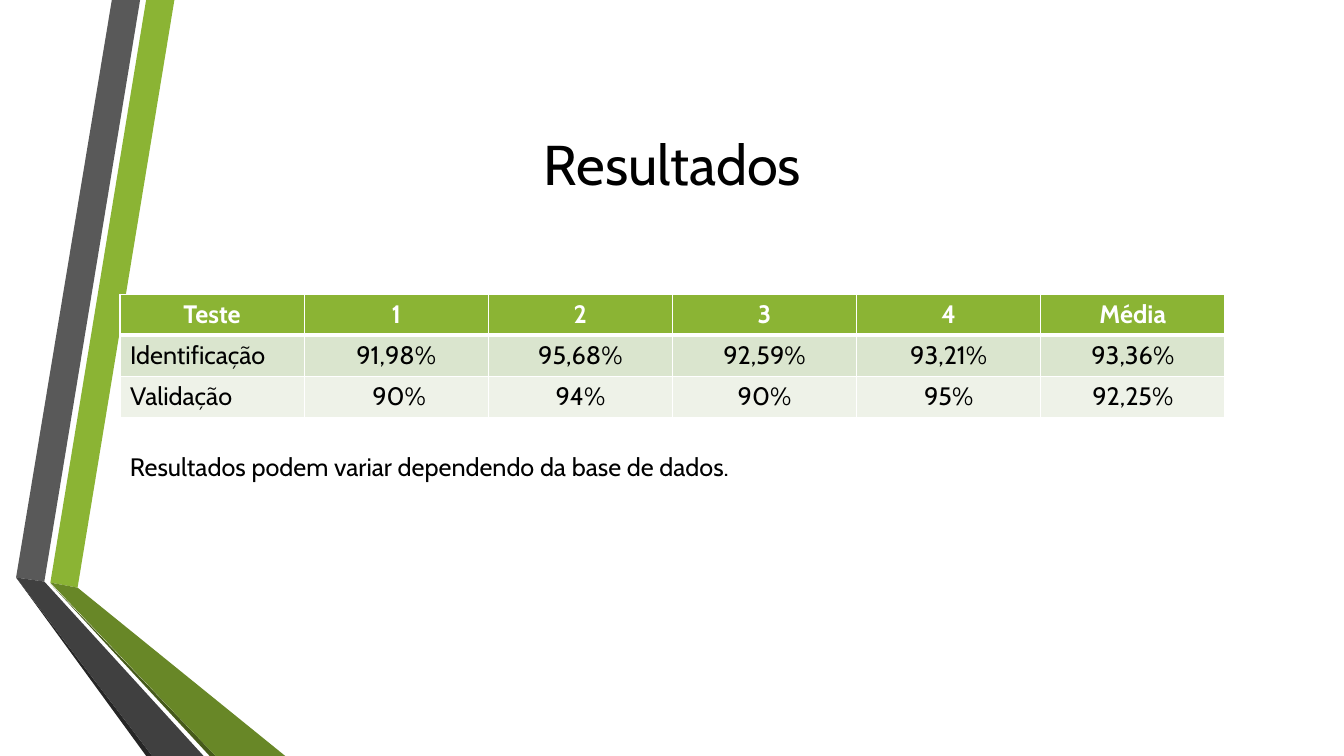
from dataclasses import dataclass

from lxml import etree
from pptx import Presentation
from pptx.dml.color import RGBColor
from pptx.enum import text
from pptx.oxml import ns
from pptx.util import Inches, Pt


@dataclass(frozen=True)
class Theme:
    font: str = "Cabin"
    title_size: int = 40
    body_size: int = 18
    ink: str = "000000"
    white: str = "FFFFFF"
    green: str = "8BB434"
    green_dark: str = "688727"
    green_edge: str = "465A1A"
    gray: str = "595959"
    gray_dark: str = "404040"
    gray_edge: str = "262626"
    band_odd: str = "DAE5CE"
    band_even: str = "EEF2E8"


theme = Theme()


def write(frame, words, size, color, align, bold=False):
    frame.text = words
    paragraph = frame.paragraphs[0]
    paragraph.alignment = align
    paragraph.font.name = theme.font
    paragraph.font.size = Pt(size)
    paragraph.font.bold = bold
    paragraph.font.color.rgb = RGBColor.from_string(color)


def add_border(cell, sides):
    """Draw white cell borders; they must precede the fill, in schema order."""
    properties = cell._tc.get_or_add_tcPr()
    for index, (side, width) in enumerate(sides.items()):
        line = etree.Element(ns.qn(f"a:ln{side}"), w=str(Pt(width)))
        fill = etree.SubElement(line, ns.qn("a:solidFill"))
        etree.SubElement(fill, ns.qn("a:srgbClr"), val=theme.white)
        properties.insert(index, line)


deck = Presentation()
deck.slide_width, deck.slide_height = Inches(13.33), Inches(7.5)
slide = deck.slides.add_slide(deck.slide_layouts[6])

# Folded ribbons on the left
ribbons = [
    (theme.green, [(0.5, 5.78), (0.77, 5.83), (1.73, 0), (1.45, 0)]),
    (theme.gray, [(1.39, 0), (1.11, 0), (0.16, 5.73), (0.44, 5.77)]),
    (theme.gray_edge, [(0.16, 5.73), (1.45, 7.5), (1.51, 7.5)]),
    (theme.green_edge, [(0.5, 5.79), (2.08, 7.5), (2.14, 7.5)]),
    (theme.green_dark, [(0.5, 5.78), (2.14, 7.5), (2.83, 7.5), (0.77, 5.83)]),
    (theme.gray_dark, [(2.02, 7.5), (0.44, 5.77), (0.16, 5.73), (1.51, 7.5)]),
]
for color, corners in ribbons:
    points = [(Inches(x), Inches(y)) for x, y in corners]
    outline = slide.shapes.build_freeform(*points[0])
    outline.add_line_segments(points[1:], close=True)
    ribbon = outline.convert_to_shape()
    ribbon.shadow.inherit = False
    ribbon.fill.solid()
    ribbon.fill.fore_color.rgb = RGBColor.from_string(color)
    ribbon.line.fill.background()

# Title
left, content_width = Inches(1.19), Inches(10.96)
title = slide.shapes.add_textbox(left, Inches(0.66), content_width, Inches(1.92)).text_frame
title.word_wrap = True
title.vertical_anchor = text.MSO_ANCHOR.MIDDLE
write(title, "Resultados", theme.title_size, theme.ink, text.PP_ALIGN.CENTER)

# Test results
results = [
    ["Teste", "1", "2", "3", "4", "Média"],
    ["Identificação", "91,98%", "95,68%", "92,59%", "93,21%", "93,36%"],
    ["Validação", " 90%", "94%", "90%", "95%", "92,25%"],
]
row_fills = [theme.green, theme.band_odd, theme.band_even]
table = slide.shapes.add_table(
    len(results), len(results[0]), left, Inches(2.92), content_width, Inches(1.22)
).table
for r, row in enumerate(results):
    header = r == 0
    for c, value in enumerate(row):
        cell = table.cell(r, c)
        cell.fill.solid()
        cell.fill.fore_color.rgb = RGBColor.from_string(row_fills[r])
        label = c == 0 and not header
        write(cell.text_frame, value, theme.body_size,
              theme.white if header else theme.ink,
              text.PP_ALIGN.LEFT if label else text.PP_ALIGN.CENTER, bold=header)
        add_border(cell, {"L": 1, "R": 1, "T": 3 if r == 1 else 1, "B": 3 if header else 1})

# Remark below the table
remark = slide.shapes.add_textbox(left, Inches(4.43), Inches(8.82), Inches(0.4)).text_frame
remark.word_wrap = True
write(remark, "Resultados podem variar dependendo da base de dados.",
      theme.body_size, theme.ink, text.PP_ALIGN.LEFT)

deck.save("out.pptx")
